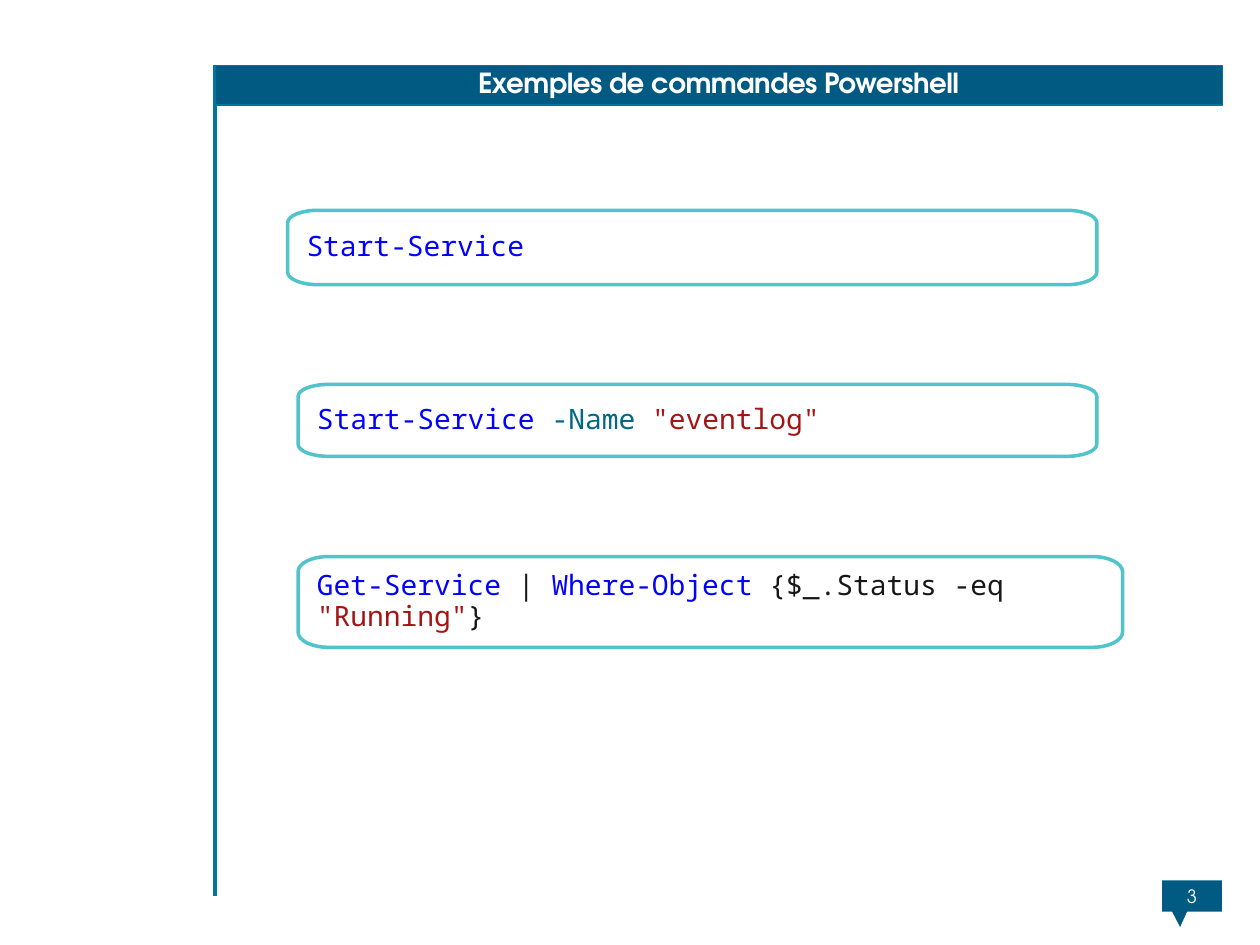
import pptx
import pptx.dml.color
import pptx.enum.shapes
import pptx.enum.text
import pptx.oxml
import pptx.oxml.ns
import pptx.util
from lxml import etree

Cm = pptx.util.Cm
Pt = pptx.util.Pt
qn = pptx.oxml.ns.qn
ALIGN = pptx.enum.text.PP_ALIGN
MIDDLE = pptx.enum.text.MSO_ANCHOR.MIDDLE
NAVY, BLUE, TEAL, WHITE = "005A82", "00759E", "51C3CA", "FFFFFF"
COMMAND, OPTION, STRING, PLAIN = "0101FD", "006881", "A31515", "171717"
TITLE_FONT, CODE_FONT = "TeX Gyre Adventor", "Noto Sans Mono"


def rgb(value):
    return pptx.dml.color.RGBColor.from_string(value)


def write(shape, spans, inset, para_format, font_format):
    """Fill the shape with one paragraph of (text, colour) spans."""
    frame = shape.text_frame
    frame.word_wrap = True
    frame.vertical_anchor = MIDDLE
    for side in ("left", "top", "right", "bottom"):
        setattr(frame, "margin_" + side, Cm(inset))
    para = frame.paragraphs[0]
    for name, value in para_format.items():
        setattr(para, name, value)
    for text, colour in spans:
        span = para.add_run()
        span.text = text
        for name, value in font_format.items():
            setattr(span.font, name, value)
        span.font.color.rgb = rgb(colour)


deck = pptx.Presentation()
deck.slide_width, deck.slide_height = Cm(25.4), Cm(19.05)
page = deck.slides.add_slide(deck.slide_layouts[5])

# Vertical rule
rule = page.shapes.add_connector(
    pptx.enum.shapes.MSO_CONNECTOR.STRAIGHT, Cm(4.34), Cm(1.32), Cm(4.34), Cm(18.06))
rule.line.color.rgb = rgb(BLUE)
rule.line.width = Pt(2.5)
etree.SubElement(rule.element.spPr, qn("a:effectLst"))

# Page number
callout = page.shapes.add_shape(
    pptx.enum.shapes.MSO_SHAPE.RECTANGULAR_CALLOUT,
    Cm(23.43), Cm(17.75), Cm(1.2), Cm(0.63))
callout.shadow.inherit = False
callout.fill.solid()
callout.fill.fore_color.rgb = rgb(NAVY)
callout.line.fill.background()
callout.adjustments[0], callout.adjustments[1] = -0.2, 0.99
write(callout, [("3", WHITE)], 0, {"alignment": ALIGN.CENTER},
      {"name": TITLE_FONT, "size": Pt(10.5)})

# Title bar, in front of the rule
title = page.shapes.title
title.element.getparent().append(title.element)
title.left, title.top, title.width, title.height = Cm(4.34), Cm(1.32), Cm(20.3), Cm(0.8)
title.fill.solid()
title.fill.fore_color.rgb = rgb(NAVY)
title.line.color.rgb = rgb(BLUE)
title.line.width = Pt(0.75)
write(title, [("Exemples de commandes Powershell", WHITE)], 0,
      {"alignment": ALIGN.CENTER, "line_spacing": 0.86},
      {"name": TITLE_FONT, "size": Pt(15.8), "bold": True})
for properties in title.element.iter(qn("a:rPr")):
    properties.set("spc", "-30")

# Commands: left, top, width, height in cm, then coloured spans
commands = [
    (5.8, 4.24, 16.31, 1.5, [("Start-Service", COMMAND)]),
    (6.01, 7.75, 16.1, 1.45, [
        ("Start-Service", COMMAND), (" -Name ", OPTION), ('"eventlog"', STRING)]),
    (6.01, 11.22, 16.62, 1.83, [
        ("Get-Service", COMMAND), (" | ", PLAIN), ("Where-Object", COMMAND),
        (" {$_.Status -eq ", PLAIN), ('"Running"', STRING), ("}", PLAIN)]),
]
ROUNDNESS = 0.55
for left, top, width, height, spans in commands:
    right, bottom = left + width, top + height
    radius_x, radius_y = 0.61, height / 6
    points = [(Cm(x), Cm(y)) for x, y in (
        (left, top + radius_y), (left + radius_x, top),
        (right - radius_x, top), (right, top + radius_y),
        (right, bottom - radius_y), (right - radius_x, bottom),
        (left + radius_x, bottom), (left, bottom - radius_y))]
    outline = page.shapes.build_freeform(*points[0])
    outline.add_line_segments(points[1:], close=True)
    box = outline.convert_to_shape()

    # Every other segment is a corner: turn it into a curve
    segments = list(box.element.iter(qn("a:lnTo")))
    nodes = [(int(node.get("x")), int(node.get("y")))
             for node in box.element.iter(qn("a:pt"))]
    for index in range(0, len(segments), 2):
        start, end = nodes[index], nodes[index + 1]
        corner = (start[0], end[1]) if index % 4 == 0 else (end[0], start[1])
        handles = [[round(a + (c - a) * ROUNDNESS) for a, c in zip(node, corner)]
                   for node in (start, end)]
        curve = etree.Element(qn("a:cubicBezTo"))
        for x, y in (*handles, end):
            etree.SubElement(curve, qn("a:pt"), x=str(x), y=str(y))
        segments[index].getparent().replace(segments[index], curve)

    box.shadow.inherit = False
    box.fill.background()
    box.line.color.rgb = rgb(TEAL)
    box.line.width = Pt(2)
    write(box, spans, 0.38, {"alignment": ALIGN.LEFT, "line_spacing": 0.9},
          {"name": CODE_FONT, "size": Pt(16)})

deck.save("out.pptx")
